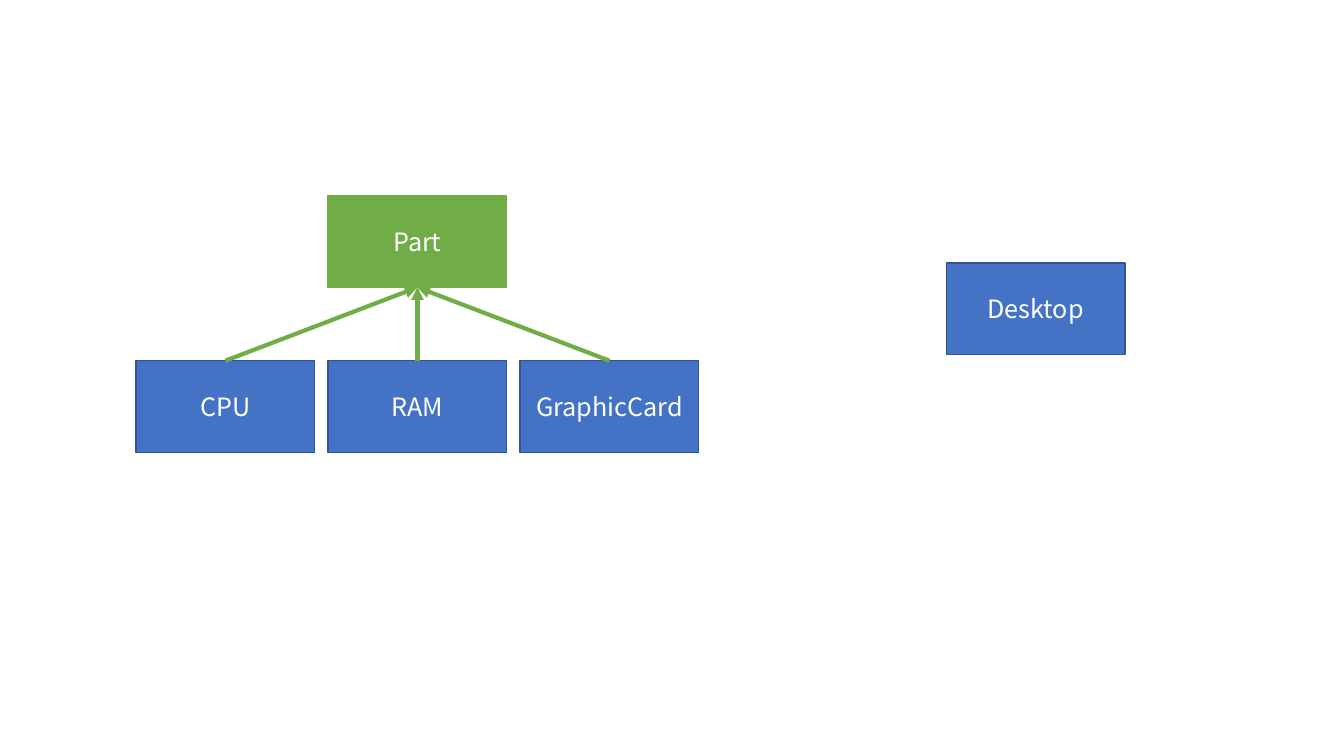
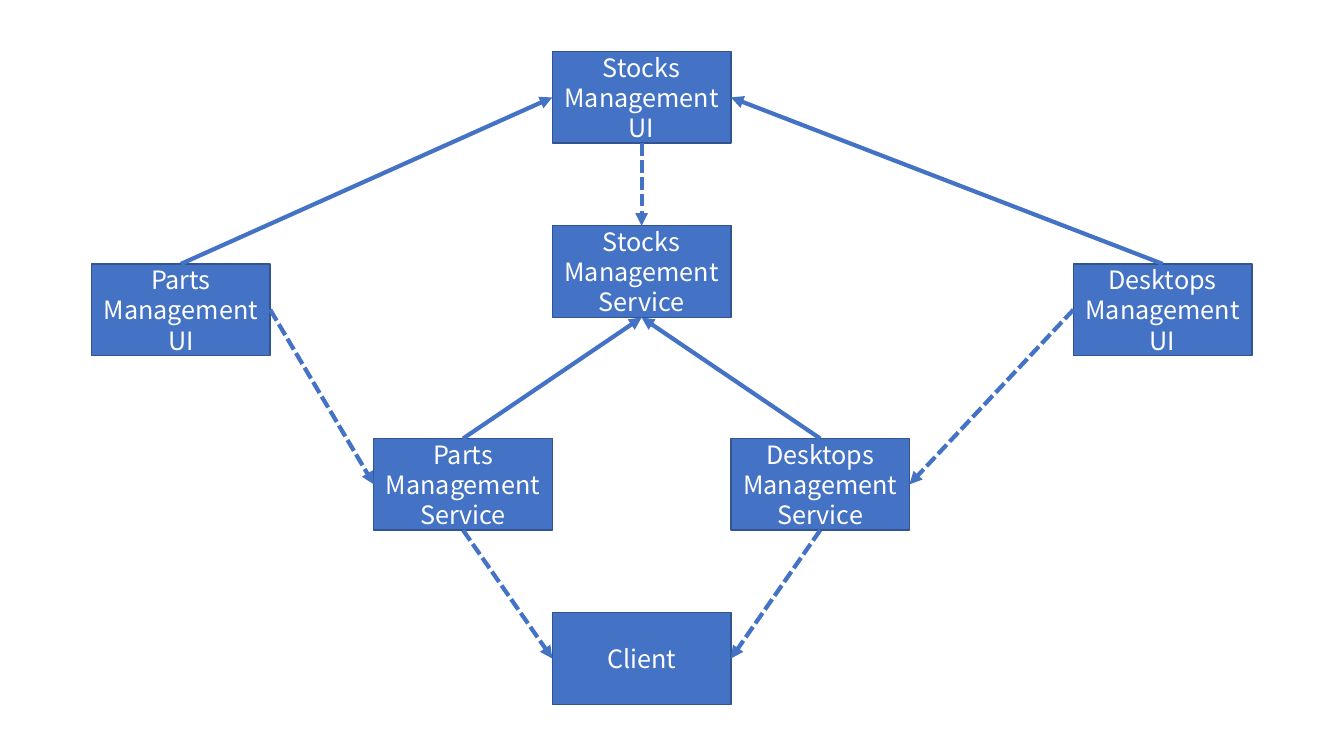
from lxml import etree
from pptx import Presentation
from pptx.dml.color import RGBColor
from pptx.enum.dml import MSO_LINE
from pptx.enum.shapes import MSO_CONNECTOR, MSO_SHAPE
from pptx.enum.text import MSO_ANCHOR, PP_ALIGN
from pptx.oxml.ns import qn
from pptx.util import Cm, Pt

RECT = MSO_SHAPE.RECTANGLE
STRAIGHT = MSO_CONNECTOR.STRAIGHT
DASH = MSO_LINE.SQUARE_DOT
MIDDLE = MSO_ANCHOR.MIDDLE
CENTER = PP_ALIGN.CENTER

# Connection sites of a rectangle
TOP, LEFT, BOTTOM, RIGHT = range(4)

BLANK_LAYOUT = 6
FONT = "Noto Sans CJK KR"
COLORS = {"blue": "4472C4", "navy": "325491", "green": "70AD47", "white": "FFFFFF"}
BOX_W, BOX_H = 4.5, 2.31


def rgb(name):
    return RGBColor.from_string(COLORS[name])


def add_box(s, text, x, y, fill="blue", line="navy"):
    """Add a class box at x, y in centimetres, one paragraph per line of text."""
    box = s.shapes.add_shape(RECT, Cm(x), Cm(y), Cm(BOX_W), Cm(BOX_H))
    box.shadow.inherit = False
    box.fill.solid()
    box.fill.fore_color.rgb = rgb(fill)
    box.line.color.rgb = rgb(line)
    box.line.width = Pt(1)
    tf = box.text_frame
    tf.word_wrap = True
    tf.vertical_anchor = MIDDLE
    tf.text = text
    for p in tf.paragraphs:
        p.alignment = CENTER
        p.font.name = FONT
        p.font.size = Pt(18)
        p.font.color.rgb = rgb("white")
    return box


def add_arrow(s, start, start_site, end, end_site, color="blue", dashed=False):
    """Join two boxes with an arrow that points at the end box."""
    arrow = s.shapes.add_connector(STRAIGHT, 0, 0, 0, 0)
    arrow.begin_connect(start, start_site)
    arrow.end_connect(end, end_site)
    arrow.line.color.rgb = rgb(color)
    arrow.line.width = Pt(3)
    if dashed:
        arrow.line.dash_style = DASH
    sp_pr = arrow._element.spPr
    etree.SubElement(sp_pr.find(qn("a:ln")), qn("a:tailEnd"), type="triangle")
    etree.SubElement(sp_pr, qn("a:effectLst"))


def build_models(prs):
    s = prs.slides.add_slide(prs.slide_layouts[BLANK_LAYOUT])
    first_x, step = 3.43, 4.84

    # Base class, its subclasses and the separate class
    part = add_box(s, "Part", first_x + step, 4.93, "green", "green")
    subclasses = [add_box(s, name, first_x + i * step, 9.09)
                  for i, name in enumerate(("CPU", "RAM", "GraphicCard"))]
    add_box(s, "Desktop", 23.85, 6.63)

    # Inheritance
    for subclass in subclasses:
        add_arrow(s, subclass, TOP, part, BOTTOM, "green")


def build_services(prs):
    s = prs.slides.add_slide(prs.slide_layouts[BLANK_LAYOUT])
    center_x, ui_y, service_y = 13.92, 6.65, 11.05

    # Boxes
    parts_service = add_box(s, "Parts\nManagement\nService", center_x - BOX_W, service_y)
    desktops_service = add_box(s, "Desktops\nManagement\nService", center_x + BOX_W, service_y)
    desktops_ui = add_box(s, "Desktops\nManagement\nUI", 27.05, ui_y)
    parts_ui = add_box(s, "Parts\nManagement\nUI", 2.31, ui_y)
    stocks_service = add_box(s, "Stocks\nManagement\nService", center_x, 5.69)
    client = add_box(s, "Client", center_x, 15.44)
    stocks_ui = add_box(s, "Stocks\nManagement\nUI", center_x, 1.3)

    # Inheritance (solid) and use (dashed), the same on both sides
    sides = ((parts_ui, parts_service, LEFT, RIGHT),
             (desktops_ui, desktops_service, RIGHT, LEFT))
    for ui, service, outer, inner in sides:
        add_arrow(s, service, TOP, stocks_service, BOTTOM)
        add_arrow(s, ui, TOP, stocks_ui, outer)
        add_arrow(s, ui, inner, service, outer, dashed=True)
        add_arrow(s, service, BOTTOM, client, outer, dashed=True)
    add_arrow(s, stocks_ui, BOTTOM, stocks_service, TOP, dashed=True)


def main():
    prs = Presentation()
    prs.slide_width, prs.slide_height = Cm(33.87), Cm(19.05)
    build_models(prs)
    build_services(prs)
    prs.save("out.pptx")


if __name__ == "__main__":
    main()
